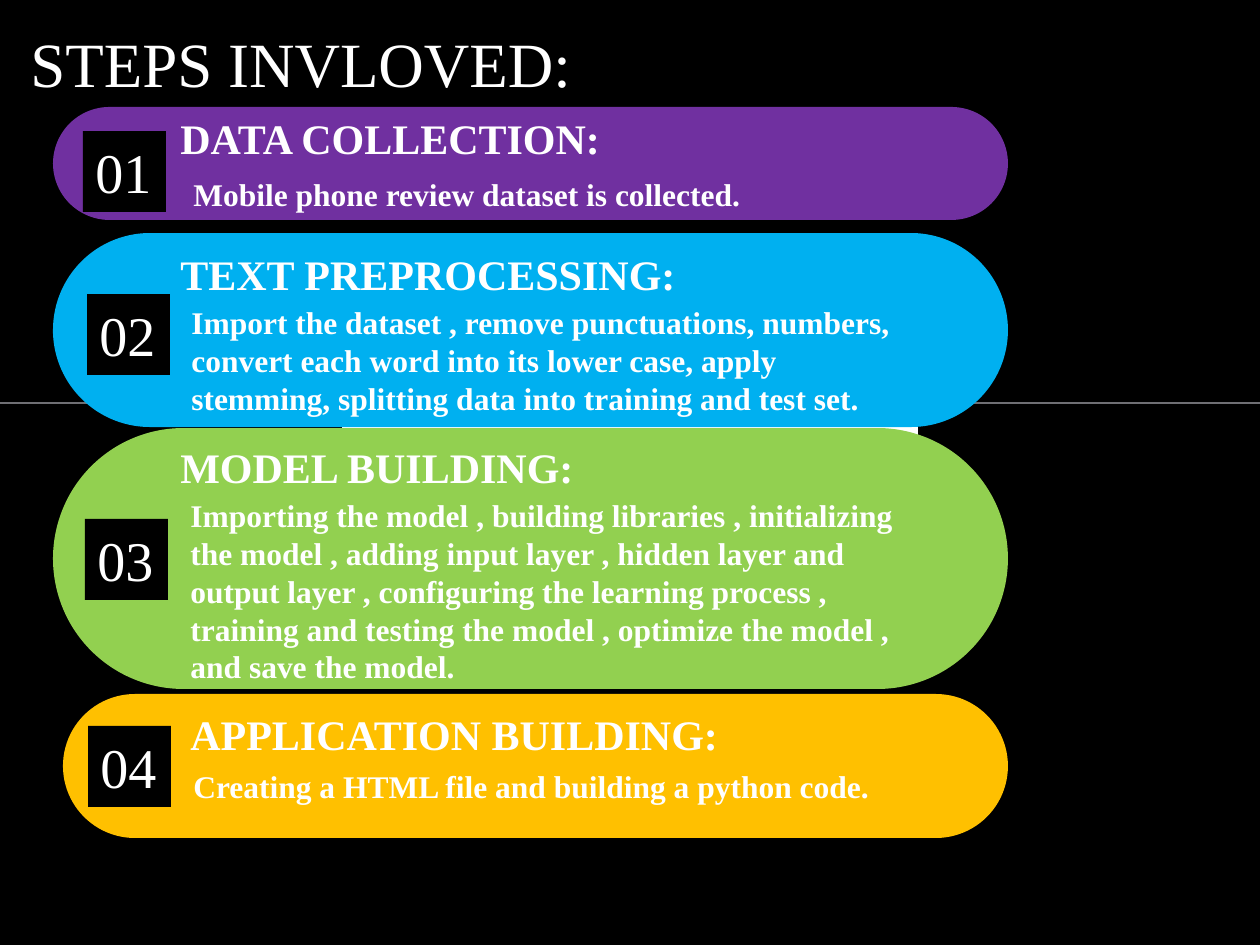
from pptx import Presentation
from pptx.dml.color import RGBColor
from pptx.enum.shapes import MSO_CONNECTOR, MSO_SHAPE
from pptx.enum.text import PP_ALIGN, MSO_ANCHOR
from pptx.oxml.ns import qn
from pptx.util import Pt
from lxml import etree

PX = 914400 // 126
FONT = "Times New Roman"
WHITE, BLACK = "FFFFFF", "000000"

# bar box, colour, badge offset, heading (dy, width), body (dx, dy, width, height)
STEPS = [
    ((53, 107, 955, 113), "7030A0", (30, 24), (-1, 483), (128, 62, 651, 50),
     "DATA COLLECTION:", "Mobile phone review dataset is collected."),
    ((53, 233, 955, 194), "00B0F0", (34, 61), (9, 620), (126, 64, 757, 127),
     "TEXT PREPROCESSING:",
     "Import the dataset , remove punctuations, numbers, convert each word into "
     "its lower case, apply stemming, splitting data into training and test set."),
    ((53, 428, 955, 261), "92D050", (32, 91), (7, 557), (125, 62, 766, 204),
     "MODEL BUILDING:",
     "Importing the model , building libraries , initializing the model , adding "
     "input layer , hidden layer and output layer , configuring the learning "
     "process , training and testing the model , optimize the model , and save "
     "the model."),
    ((63, 694, 945, 144), "FFC000", (25, 32), (8, 611), (118, 67, 723, 50),
     "APPLICATION BUILDING:", "Creating a HTML file and building a python code."),
]


def color(value):
    return RGBColor.from_string(value)


def emu(box):
    return [length * PX for length in box]


def add_block(slide, box, fill, preset=MSO_SHAPE.RECTANGLE):
    block = slide.shapes.add_shape(preset, *emu(box))
    block.shadow.inherit = False
    block.fill.solid()
    block.fill.fore_color.rgb = color(fill)
    block.line.fill.background()
    return block


def write(holder, text, size, bold=False):
    frame = holder.text_frame
    frame.word_wrap = True
    frame.vertical_anchor = MSO_ANCHOR.TOP
    paragraph = frame.paragraphs[0]
    paragraph.alignment = PP_ALIGN.LEFT
    run = paragraph.add_run()
    run.text = text
    run.font.name = FONT
    run.font.size = Pt(size)
    run.font.bold = bold
    run.font.color.rgb = color(WHITE)


def add_label(slide, box, text, size, bold=False):
    write(slide.shapes.add_textbox(*emu(box)), text, size, bold)


def add_backdrop(slide, width, height):
    slide.background.fill.solid()
    slide.background.fill.fore_color.rgb = color(BLACK)
    # Rule across the slide
    rule_y = 403
    rule = slide.shapes.add_connector(
        MSO_CONNECTOR.STRAIGHT, *emu((0, rule_y, width, rule_y)))
    rule.line.color.rgb = color("6F6F74")
    rule.line.width = Pt(1)
    etree.SubElement(rule._element.spPr, qn("a:effectLst"))
    # White plate behind the bars
    plate = add_block(slide, (347, 325, width - 2 * 347, 155), WHITE)
    plate.line.color.rgb = color(WHITE)
    plate.line.width = Pt(6)


def add_step(slide, number, box, fill, badge, heading, body, title, detail):
    left, top, _, _ = box
    bar = add_block(slide, box, fill, MSO_SHAPE.ROUNDED_RECTANGLE)
    bar.adjustments[0] = 0.5
    # Number badge
    badge_dx, badge_dy = badge
    square = add_block(slide, (left + badge_dx, top + badge_dy, 83, 81), BLACK)
    write(square, f"{number:02}", 32)
    # Heading and description
    heading_dy, heading_width = heading
    add_label(slide, (left + 115, top + heading_dy, heading_width, 63), title, 24, True)
    dx, dy, width, height = body
    add_label(slide, (left + dx, top + dy, width, height), detail, 18, True)


def main():
    deck = Presentation()
    width, height = 1260, 945
    deck.slide_width, deck.slide_height = emu((width, height))
    slide = deck.slides.add_slide(deck.slide_layouts[6])
    add_backdrop(slide, width, height)
    add_label(slide, (18, 18, 650, 89), "STEPS INVLOVED:", 36)
    for number, step in enumerate(STEPS, 1):
        add_step(slide, number, *step)
    deck.save("out.pptx")


if __name__ == "__main__":
    main()
